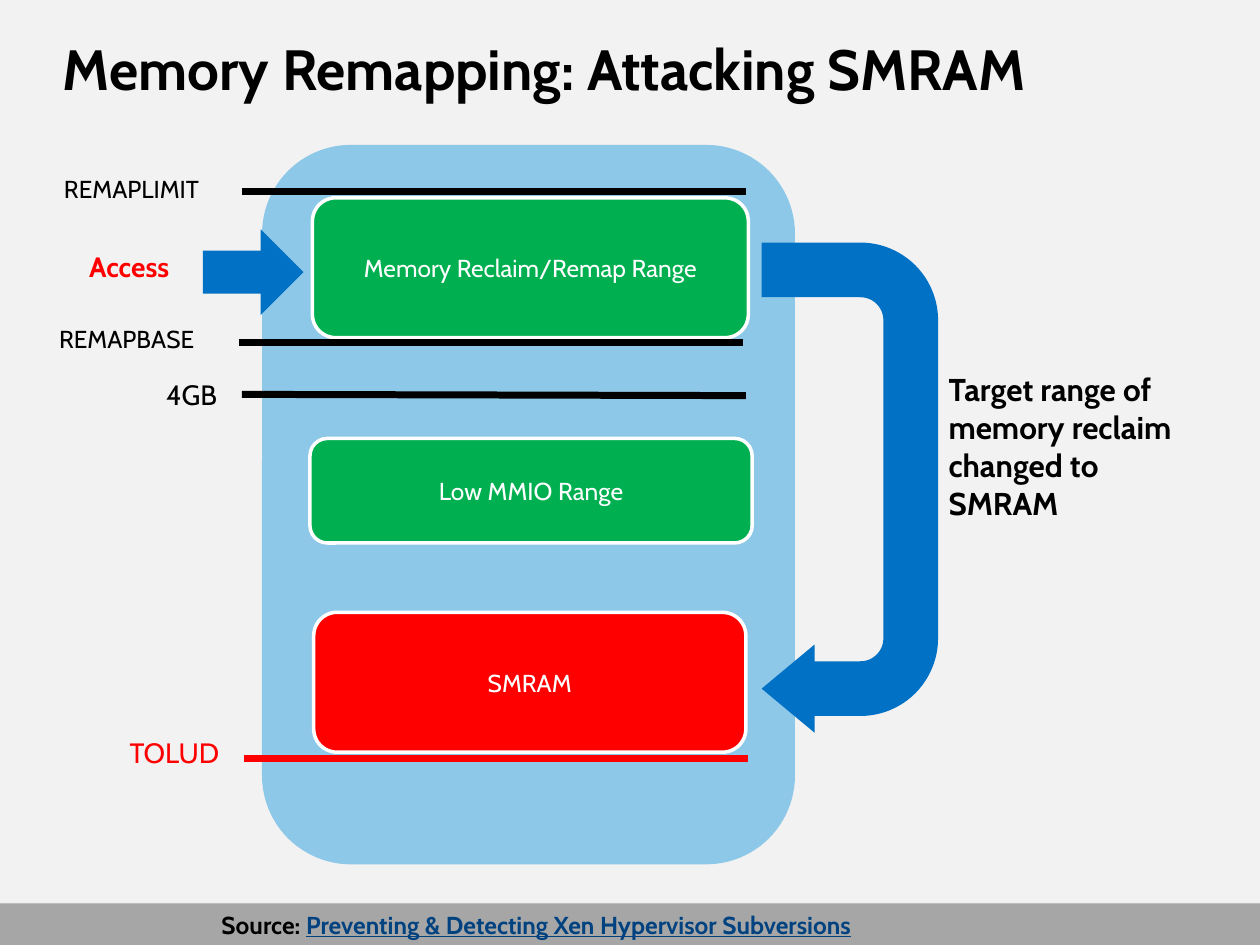
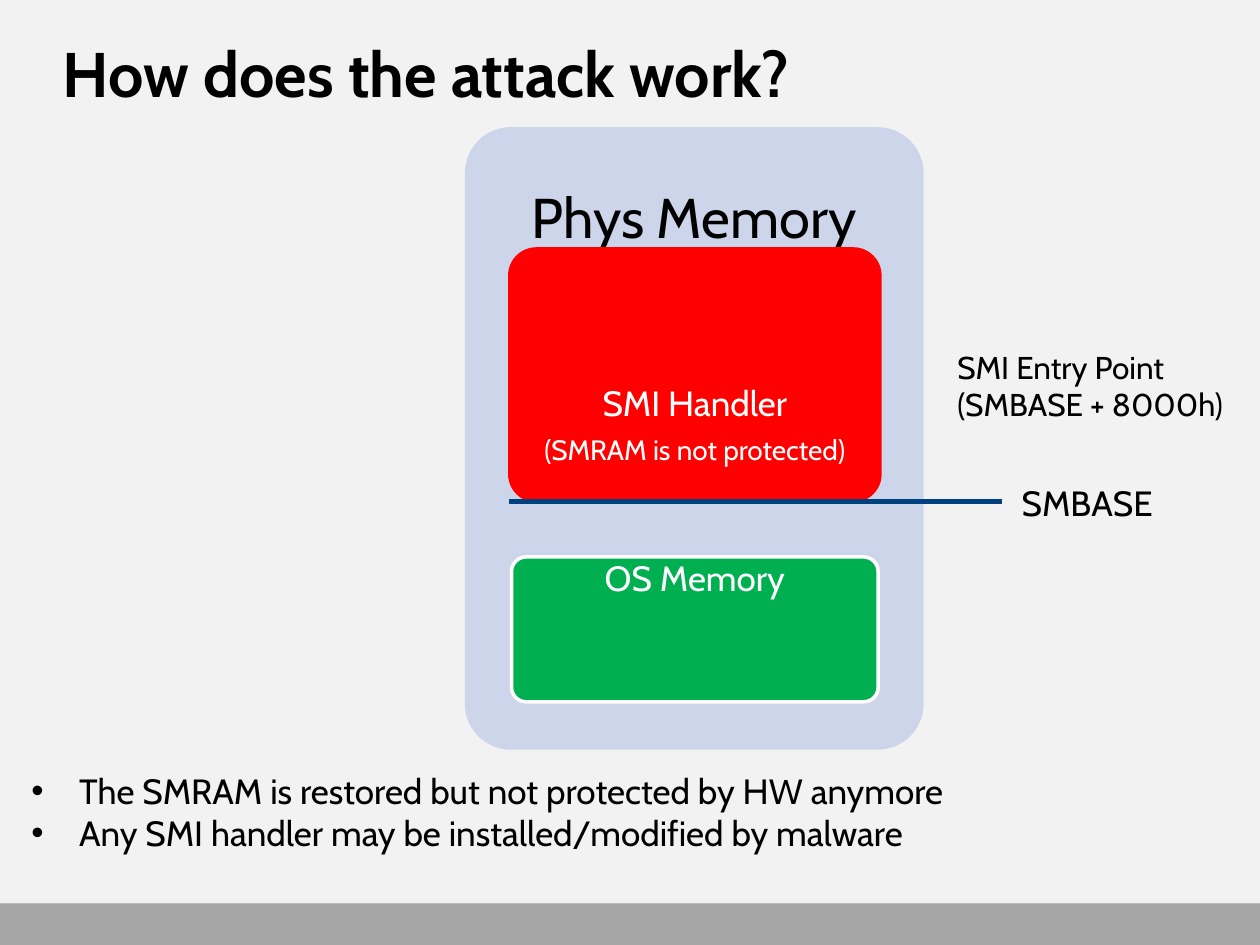
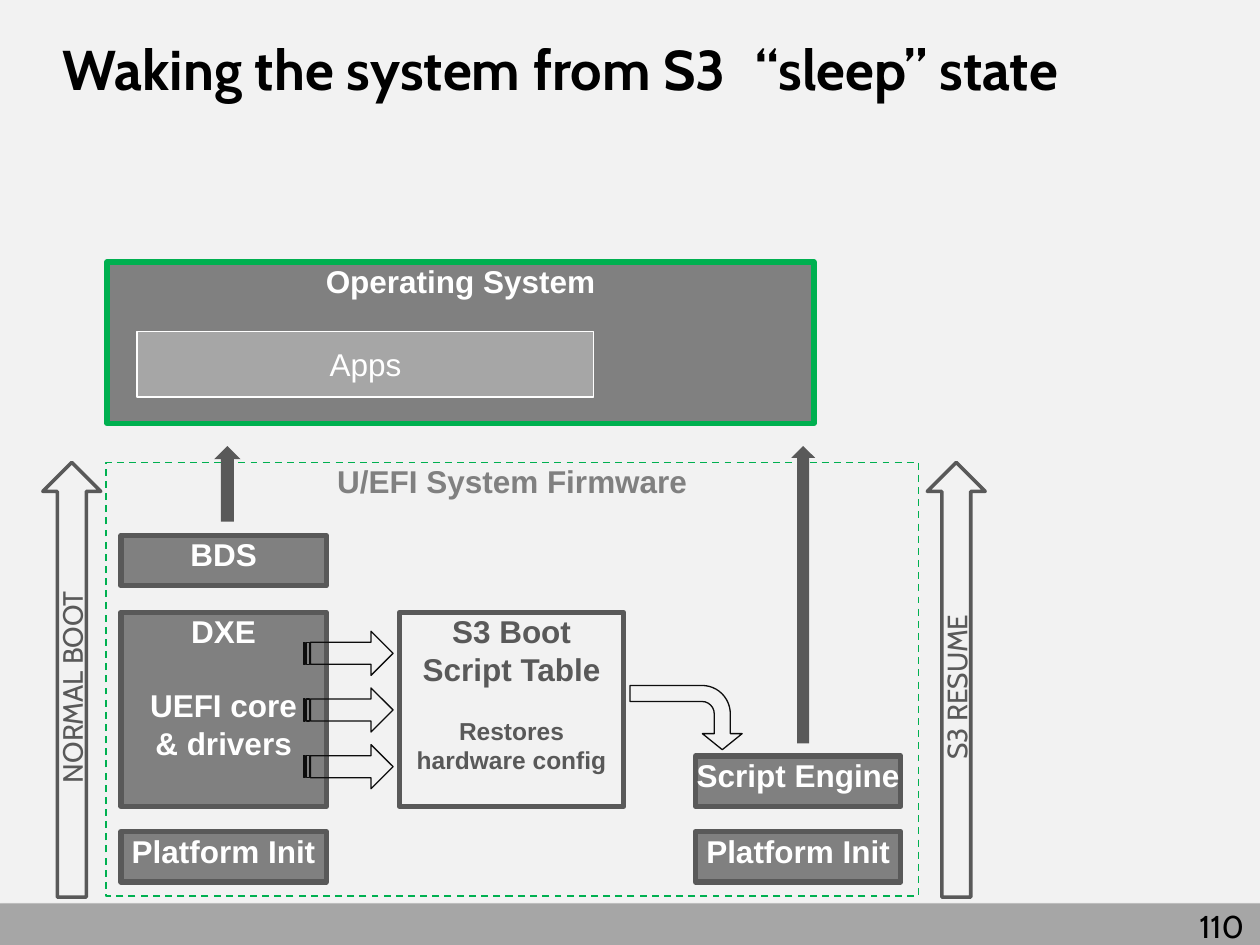
import pptx
import pptx.dml.color
import pptx.enum.dml
import pptx.enum.shapes
import pptx.enum.text
import pptx.oxml.ns
import pptx.util
from lxml import etree

KIND = pptx.enum.shapes.MSO_SHAPE
SIDE = pptx.enum.text.PP_ALIGN
HOLD = pptx.enum.text.MSO_ANCHOR
BLACK, WHITE, RED, GREEN = "000000", "FFFFFF", "FF0000", "00B050"
BLUE, NAVY, GRAY, DARK, SILVER = "0071C5", "004280", "808080", "595959", "A6A6A6"


def hue(code):
    return pptx.dml.color.RGBColor.from_string(code)


def node(home, tag, **values):
    part = etree.SubElement(home, pptx.oxml.ns.qn(tag))
    for key, value in values.items():
        part.set(key, str(value))
    return part


def apply(target, values):
    for key, value in values.items():
        setattr(target, key, value)


class Deck:
    cols = 100
    face = "Cabin"
    ground = "F2F2F2"
    inset = (0.1, 0.05, 0.1, 0.05)

    def __init__(self):
        self.show = pptx.Presentation()
        apply(self.show, {"slide_width": pptx.util.Inches(10),
                          "slide_height": pptx.util.Inches(7.5)})
        self.cell = self.show.slide_width / self.cols

    def span(self, *cells):
        return [round(cell * self.cell) for cell in cells]

    def page(self, title, size, tab=None):
        self.slide = self.show.slides.add_slide(self.show.slide_layouts[6])
        fill = self.slide.background.fill
        fill.solid()
        fill.fore_color.rgb = hue(self.ground)
        band = self.shape(KIND.RECTANGLE, (0, 71.7, 100, 3.3), SILVER)
        glow = node(band._element.spPr.find(pptx.oxml.ns.qn("a:effectLst")), "a:outerShdw",
                    blurRad=pptx.util.Pt(3.1), dist=pptx.util.Pt(1.8), dir=5400000, rotWithShape=0)
        node(node(glow, "a:srgbClr", val=BLACK), "a:alpha", val=35000)
        self.text((5, 2.7, 90, 10.8), [title], size, inset=(0,) * 4, bold=True, tab=tab)

    def shape(self, kind, at, fill=None, edge=None, weight=1, adjust=(), turn=0, dash=None):
        item = self.slide.shapes.add_shape(kind, *self.span(*at))
        item.shadow.inherit = False
        item.rotation = turn
        for place, value in enumerate(adjust):
            item.adjustments[place] = value
        if fill:
            item.fill.solid()
            item.fill.fore_color.rgb = hue(fill)
        else:
            item.fill.background()
        if edge:
            item.line.color.rgb = hue(edge)
            apply(item.line, {"width": pptx.util.Pt(weight), "dash_style": dash})
        else:
            item.line.fill.background()
        return item

    def line(self, start, end, color=BLACK, weight=4):
        item = self.slide.shapes.add_connector(
            pptx.enum.shapes.MSO_CONNECTOR.STRAIGHT, *self.span(*start, *end))
        item.line.color.rgb = hue(color)
        item.line.width = pptx.util.Pt(weight)
        node(item._element.spPr, "a:effectLst")

    def text(self, at, lines, size, color=BLACK, **style):
        item = self.slide.shapes.add_textbox(*self.span(*at))
        self.label(item, lines, size, color, **style)

    def label(self, item, lines, size, color=WHITE, face=None, bold=False, align=SIDE.LEFT,
              hold=HOLD.TOP, inset=None, wrap=True, vert=None, bullet=False, tab=None, form=None):
        frame = item.text_frame
        sides = ("margin_left", "margin_top", "margin_right", "margin_bottom")
        apply(frame, dict(zip(sides, map(pptx.util.Inches, inset or self.inset))))
        apply(frame, {"word_wrap": wrap, "vertical_anchor": hold})
        if vert:
            frame._txBody.bodyPr.set("vert", vert)
        for count, entry in enumerate(lines):
            words, extra = entry if isinstance(entry, tuple) else (entry, {})
            para = frame.paragraphs[0] if count == 0 else frame.add_paragraph()
            props = para._p.get_or_add_pPr()
            if bullet:
                depth = pptx.util.Inches(0.38)
                props.set("marL", str(depth))
                props.set("indent", str(-depth))
                node(props, "a:buFont", typeface="Arial")
                node(props, "a:buChar", char="•")
            if tab:
                node(node(props, "a:tabLst"), "a:tab", pos=self.span(tab)[0], algn="l")
            apply(para, {"alignment": align, **(form or {}), **extra.get("para", {})})
            self.run(para, words, face, extra.get("size", size), color, bold)
            for more, tint in extra.get("tail", ()):
                self.run(para, more, face, size, tint, bold, underline=True)

    def run(self, para, words, face, size, color, bold, **more):
        run = para.add_run()
        run.text = words
        apply(run.font, {"name": face or self.face, "size": pptx.util.Pt(size),
                         "bold": bold, **more})
        run.font.color.rgb = hue(color)

    def block(self, at, lines, size, fill, edge=None, weight=2, color=WHITE, adjust=(), **style):
        item = self.shape(KIND.ROUNDED_RECTANGLE, at, fill, edge, weight, adjust)
        self.label(item, lines, size, color, align=SIDE.CENTER, **style)

    def plate(self, at, lines, fill=GRAY, edge=DARK, weight=3, color=WHITE,
              bold=True, hold=HOLD.TOP, dash=None):
        item = self.shape(KIND.RECTANGLE, at, fill, edge, weight, dash=dash)
        self.label(item, lines, 18, color, "Arial", bold, SIDE.CENTER, hold,
                   inset=(0,) * 4, wrap=False)


def remap(deck):
    deck.page("Memory Remapping: Attacking SMRAM", 32.4)
    deck.shape(KIND.ROUNDED_RECTANGLE, (20.8, 11.5, 42.3, 57.1), "8DC8E8")
    for at, name, fill in (
            ((24.8, 15.7, 34.6, 11.1), "Memory Reclaim/Remap Range", GREEN),
            ((24.6, 34.8, 35.1, 8.3), "Low MMIO Range", GREEN),
            ((24.9, 48.6, 34.3, 11.1), "SMRAM", RED)):
        deck.block(at, [name], 14, fill, WHITE, hold=HOLD.MIDDLE)
    for at, name, size, color, bold in (
            ((9.3, 57.9, 10.6, 3.7), "TOLUD", 16, RED, False),
            ((12.2, 29.5, 7, 3.7), "4GB", 16, BLACK, False),
            ((3.7, 25.2, 15.5, 3.4), "REMAPBASE", 14, BLACK, False),
            ((4.1, 13.3, 15.3, 3.4), "REMAPLIMIT", 14, BLACK, False),
            ((6.1, 19.3, 10.5, 3.7), "Access", 16, RED, True),
            ((74.3, 28.9, 22.6, 13.1), "Target range of memory reclaim changed to SMRAM",
             18, BLACK, True)):
        deck.text(at, [name], size, color, bold=bold)
    for left, top, drop, color in ((19.2, 31.3, 0.1, BLACK), (19.4, 60.2, 0, RED),
                                   (19, 27.2, 0, BLACK), (19.2, 15.2, 0, BLACK)):
        deck.line((left, top), (left + 40, top + drop), color)
    deck.shape(KIND.U_TURN_ARROW, (48, 31.7, 38.9, 14), BLUE,
               adjust=(0.31, 0.25, 0.3, 0.44, 1), turn=90)
    deck.shape(KIND.RIGHT_ARROW, (16.1, 18.2, 8, 6.8), BLUE)
    cite = "Preventing & Detecting Xen Hypervisor Subversions"
    deck.text((16.6, 71.7, 69, 3.4), [("Source: ", {"tail": [(cite, NAVY)]})], 14, bold=True)


def attack(deck):
    deck.page("How does the attack work?", 36)
    form = {"line_spacing": 0.9, "space_after": pptx.util.Pt(7)}
    curve = (0.1,)
    deck.shape(KIND.ROUNDED_RECTANGLE, (36.9, 10.1, 36.4, 49.4), "CCD5EA", adjust=curve)
    deck.text((36.9, 10.1, 36.4, 14.8), ["Phys Memory"], 32, align=SIDE.CENTER,
              hold=HOLD.MIDDLE, form=form)
    deck.block((40.6, 19.9, 29.1, 19.7),
               ["SMI Handler", ("(SMRAM is not protected)", {"size": 16})], 20, RED, RED, 4,
               adjust=curve, hold=HOLD.BOTTOM, inset=(0.06, 0.04, 0.06, 0.2), form=form)
    deck.block((40.6, 44.2, 29.1, 11.5), ["OS Memory"], 20, GREEN, WHITE,
               adjust=curve, inset=(0.06, 0, 0.06, 0), form=form)
    deck.text((1.5, 60.6, 97.1, 7.7),
              ["The SMRAM is restored but not protected by HW anymore",
               "Any SMI handler may be installed/modified by malware"], 20, bullet=True)
    deck.line((79.5, 39.8), (40.4, 39.8), NAVY, 3)
    deck.text((80.1, 37.7, 14.2, 4.4), ["SMBASE"], 20)
    deck.text((75, 27.1, 24.3, 7.1), ["SMI Entry Point (SMBASE + 8000h)"], 18)


def wake(deck):
    deck.page("Waking the system from S3 \t“sleep” state", 32, tab=55)
    deck.plate((8.4, 36.7, 64.5, 34.4), ["U/EFI System Firmware"], None, GREEN, 1, GRAY,
               dash=pptx.enum.dml.MSO_LINE.DASH)
    deck.plate((8.5, 20.8, 56.1, 12.8), ["Operating System"], edge=GREEN)
    left, right, wide = 9.6, 55.2, 16.3
    for side, top, name in ((left, 66, "Platform Init"), (left, 42.5, "BDS"),
                            (right, 66, "Platform Init"), (right, 60, "Script Engine")):
        deck.plate((side, top, wide, 4), [name])
    deck.plate((left, 48.6, wide, 15.4),
               ["DXE", ("UEFI core", {"para": {"space_before": pptx.util.Pt(20.7)}}),
                "& drivers"])
    deck.plate((31.7, 48.6, 17.8, 15.4),
               ["S3 Boot", "Script Table",
                ("Restores", {"size": 14, "para": {"space_before": pptx.util.Pt(16.1)}}),
                ("hardware config", {"size": 14})], None, color=DARK)
    for step in range(3):
        deck.shape(KIND.STRIPED_RIGHT_ARROW, (24.1, 50.1 + 4.5 * step, 7.1, 3.5),
                   edge="0D0D0D", weight=0.75)
    for side, name in ((3.4, "NORMAL BOOT"), (73.6, "S3 RESUME")):
        arrow = deck.shape(KIND.UP_ARROW, (side, 36.7, 4.6, 34.5), edge=DARK, weight=2)
        deck.label(arrow, [name], 16, DARK, align=SIDE.CENTER, hold=HOLD.MIDDLE, vert="vert270")
    for at in ((17, 35.4, 2.1, 6), (62.8, 35.4, 1.9, 23.6)):
        deck.shape(KIND.UP_ARROW, at, DARK)
    deck.shape(KIND.BENT_ARROW, (51.9, 52.5, 5.1, 8.9), edge="0D0D0D", weight=0.75,
               adjust=(0.25, 0.31, 0.25, 0.44), turn=90)
    deck.plate((10.9, 26.3, 36.2, 5.2), ["Apps"], SILVER, WHITE, 1, bold=False,
               hold=HOLD.MIDDLE)
    deck.text((94.2, 71.5, 5.8, 4), ["110"], 18)


def main():
    deck = Deck()
    for build in (remap, attack, wake):
        build(deck)
    deck.show.save("out.pptx")


if __name__ == "__main__":
    main()
